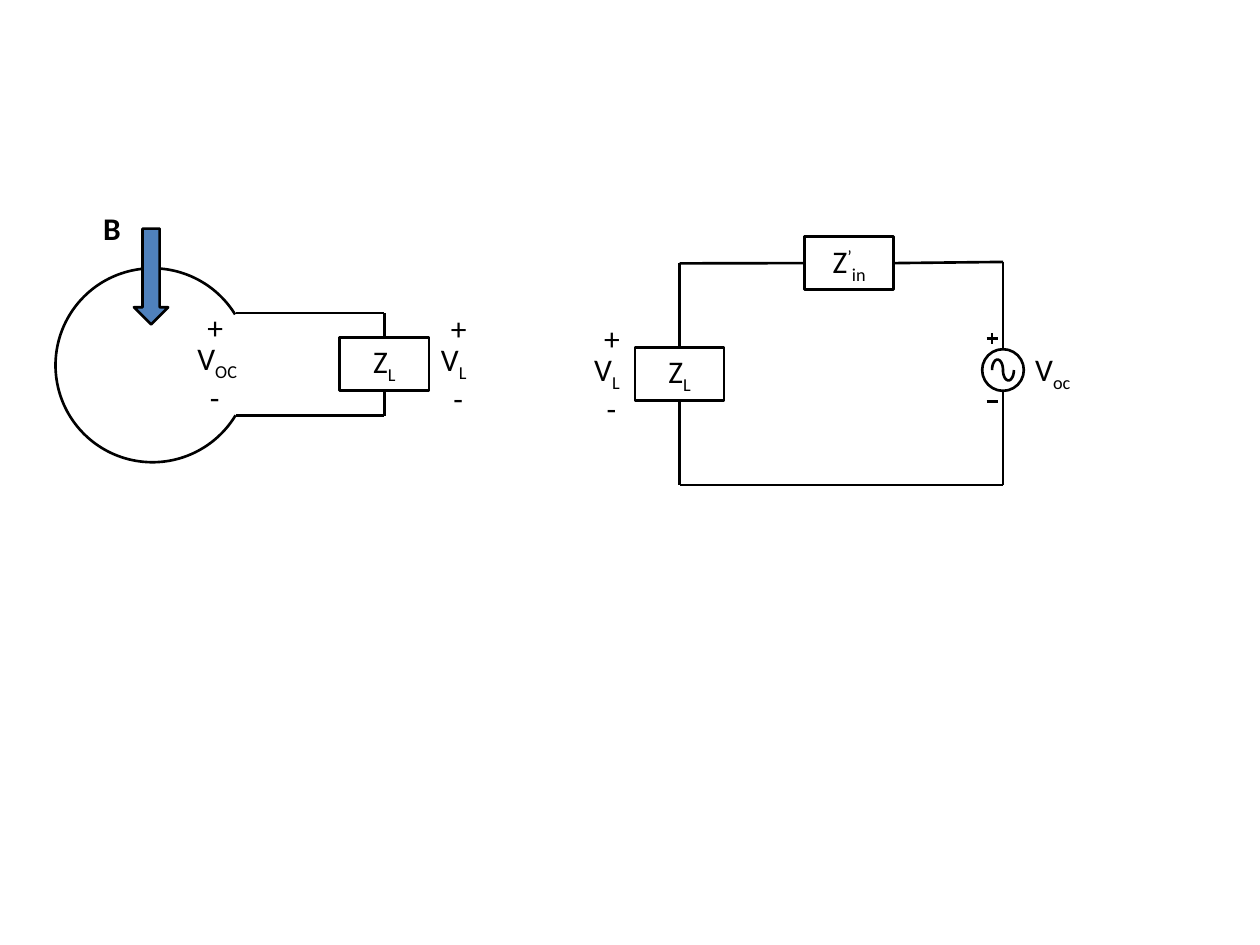
"""Draw a loop antenna in a magnetic field beside its equivalent circuit."""
from dataclasses import dataclass
from math import cos, pi, sin
from typing import Optional

from lxml.etree import SubElement
from pptx import Presentation
from pptx.dml.color import RGBColor
from pptx.enum.shapes import MSO_CONNECTOR, MSO_SHAPE
from pptx.enum.text import MSO_ANCHOR as Anchor, PP_ALIGN as Align
from pptx.oxml.ns import qn
from pptx.util import Cm, Pt

BLACK = RGBColor(0x00, 0x00, 0x00)
BLUE = RGBColor(0x4F, 0x81, 0xBD)
SUB, SUPER = -25000, 30000
TOP, LEFT, BOTTOM, RIGHT = range(4)
BOX_WIDTH, BOX_HEIGHT = 1.8, 1.07
TEXT_HEIGHT = 1.02

Point = tuple[float, float]
Run = tuple[str, int]


@dataclass(frozen=True)
class Impedance:
    left: float
    top: float
    symbol: tuple[Run, ...]


@dataclass(frozen=True)
class Voltage:
    left: float
    top: float
    width: float
    subscript: str


@dataclass(frozen=True)
class Wire:
    start: Point
    end: Point
    joined: Optional[Impedance] = None
    side: int = TOP


Z_IN = Impedance(16.22, 4.77, (("Z", 0), ("’", SUPER), ("in", SUB)))
Z_LOAD = Impedance(12.8, 7.0, (("Z", 0), ("L", SUB)))
Z_LOOP_LOAD = Impedance(6.85, 6.8, (("Z", 0), ("L", SUB)))
IMPEDANCES = (Z_IN, Z_LOAD, Z_LOOP_LOAD)

SOURCE_X, SOURCE_Y, SOURCE_RADIUS = 20.22, 7.46, 0.42
STUB_TOP, STUB_BOTTOM = 6.4, 8.51
LOAD_X, LOOP_LOAD_X = 13.7, 7.75
CIRCUIT_TOP, CIRCUIT_BOTTOM = 5.28, 9.78
LOOP_X, LOOP_TOP, LOOP_BOTTOM = 4.75, 6.31, 8.38

WIRES = (
    Wire((SOURCE_X, STUB_TOP), (SOURCE_X, CIRCUIT_TOP)),
    Wire((SOURCE_X, CIRCUIT_TOP), (18.02, 5.31), Z_IN, RIGHT),
    Wire((LOAD_X, 5.31), (16.22, 5.31), Z_IN, LEFT),
    Wire((LOAD_X, 5.31), (LOAD_X, 7.0), Z_LOAD, TOP),
    Wire((LOAD_X, CIRCUIT_BOTTOM), (LOAD_X, 8.07), Z_LOAD, BOTTOM),
    Wire((LOAD_X, CIRCUIT_BOTTOM), (SOURCE_X, CIRCUIT_BOTTOM)),
    Wire((SOURCE_X, STUB_BOTTOM), (SOURCE_X, CIRCUIT_BOTTOM)),
    Wire((LOOP_X, LOOP_TOP), (LOOP_LOAD_X, LOOP_TOP)),
    Wire((LOOP_X, LOOP_BOTTOM), (LOOP_LOAD_X, LOOP_BOTTOM)),
    Wire((LOOP_LOAD_X, LOOP_TOP), (LOOP_LOAD_X, 6.8), Z_LOOP_LOAD, TOP),
    Wire((LOOP_LOAD_X, LOOP_BOTTOM), (LOOP_LOAD_X, 7.87), Z_LOOP_LOAD, BOTTOM),
)
SOURCE_WIRES = (
    Wire((SOURCE_X, SOURCE_Y - SOURCE_RADIUS), (SOURCE_X, STUB_TOP)),
    Wire((SOURCE_X, STUB_BOTTOM), (SOURCE_X, SOURCE_Y + SOURCE_RADIUS)),
    Wire((19.89, 6.82), (20.11, 6.82)),
    Wire((20.0, 6.71), (20.0, 6.93)),
    Wire((19.89, 8.1), (20.11, 8.1)),
)
VOLTAGES = (
    Voltage(11.73, 6.93, 1.07, "L"),
    Voltage(8.64, 6.73, 1.07, "L"),
    Voltage(3.73, 6.71, 1.4, "OC"),
)


def outline(shape, fill: Optional[RGBColor] = None) -> None:
    shape.shadow.inherit = False
    if fill is None:
        shape.fill.background()
    else:
        shape.fill.solid()
        shape.fill.fore_color.rgb = fill
    shape.line.color.rgb = BLACK
    shape.line.width = Pt(1.5)


def write(frame, *runs: Run, bold: bool = False, align=Align.LEFT,
          anchor=Anchor.TOP, wrap: bool = False) -> None:
    frame.word_wrap = wrap
    frame.vertical_anchor = anchor
    paragraph = frame.paragraphs[0]
    paragraph.alignment = align
    for text, baseline in runs:
        run = paragraph.add_run()
        run.text = text
        run.font.name = "Calibri"
        run.font.size = Pt(18)
        run.font.bold = bold
        run.font.color.rgb = BLACK
        if baseline:
            run._r.get_or_add_rPr().set("baseline", str(baseline))


def draw_label(shapes, left: float, top: float, width: float,
               *runs: Run, bold: bool = False) -> None:
    label = shapes.add_textbox(Cm(left), Cm(top), Cm(width), Cm(TEXT_HEIGHT))
    write(label.text_frame, *runs, bold=bold)


def draw_voltage(shapes, voltage: Voltage) -> None:
    left, top = voltage.left, voltage.top
    draw_label(shapes, left, top, voltage.width, ("V", 0), (voltage.subscript, SUB))
    draw_label(shapes, left + 0.2, top - 0.63, 0.84, ("+", 0))
    draw_label(shapes, left + 0.25, top + 0.79, 0.71, ("-", 0))


def draw_preset(shapes, preset, left: float, top: float, width: float,
                height: float, fill: Optional[RGBColor] = None):
    shape = shapes.add_shape(preset, Cm(left), Cm(top), Cm(width), Cm(height))
    outline(shape, fill)
    return shape


def draw_impedance(shapes, impedance: Impedance):
    box = draw_preset(shapes, MSO_SHAPE.RECTANGLE, impedance.left, impedance.top,
                      BOX_WIDTH, BOX_HEIGHT)
    write(box.text_frame, *impedance.symbol, align=Align.CENTER,
          anchor=Anchor.MIDDLE, wrap=True)
    return box


def draw_wire(shapes, wire: Wire, boxes: dict) -> None:
    line = shapes.add_connector(MSO_CONNECTOR.STRAIGHT,
                                *map(Cm, wire.start + wire.end))
    line.line.color.rgb = BLACK
    line.line.width = Pt(1.5)
    SubElement(line._element.spPr, qn("a:effectLst"))
    if wire.joined:
        line.end_connect(boxes[wire.joined], wire.side)


def draw_half_wave(shapes, center_x: float, base_y: float, direction: int) -> None:
    angles = [pi * step / 24 for step in range(25)]
    points = [(Cm(center_x - 0.11 * cos(angle)),
               Cm(base_y + direction * 0.21 * sin(angle))) for angle in angles]
    builder = shapes.build_freeform(*points[0])
    builder.add_line_segments(points[1:], close=False)
    outline(builder.convert_to_shape())


def draw_source(shapes) -> None:
    symbol = shapes.add_group_shape().shapes
    draw_preset(symbol, MSO_SHAPE.OVAL, SOURCE_X - SOURCE_RADIUS,
                SOURCE_Y - SOURCE_RADIUS, 2 * SOURCE_RADIUS, 2 * SOURCE_RADIUS)
    for wire in SOURCE_WIRES:
        draw_wire(symbol, wire, {})
    for direction in (-1, 1):
        draw_half_wave(symbol, SOURCE_X + direction * 0.11, SOURCE_Y, direction)


def main() -> None:
    deck = Presentation()
    deck.slide_width, deck.slide_height = Cm(25.4), Cm(19.05)
    shapes = deck.slides.add_slide(deck.slide_layouts[6]).shapes
    draw_source(shapes)
    boxes = {impedance: draw_impedance(shapes, impedance) for impedance in IMPEDANCES}
    for wire in WIRES:
        draw_wire(shapes, wire, boxes)
    draw_label(shapes, 20.62, 6.93, 1.3, ("V", 0), ("oc", SUB))
    for voltage in VOLTAGES:
        draw_voltage(shapes, voltage)
    loop = draw_preset(shapes, MSO_SHAPE.ARC, 1.12, 5.41, 3.91, 3.91)
    loop.adjustments[0], loop.adjustments[1] = 18.66, 197.03
    draw_label(shapes, 1.83, 4.09, 0.86, ("B", 0), bold=True)
    field = draw_preset(shapes, MSO_SHAPE.RIGHT_ARROW, 2.08, 5.23, 1.93, 0.69, BLUE)
    field.rotation = 90
    deck.save("out.pptx")


if __name__ == "__main__":
    main()
